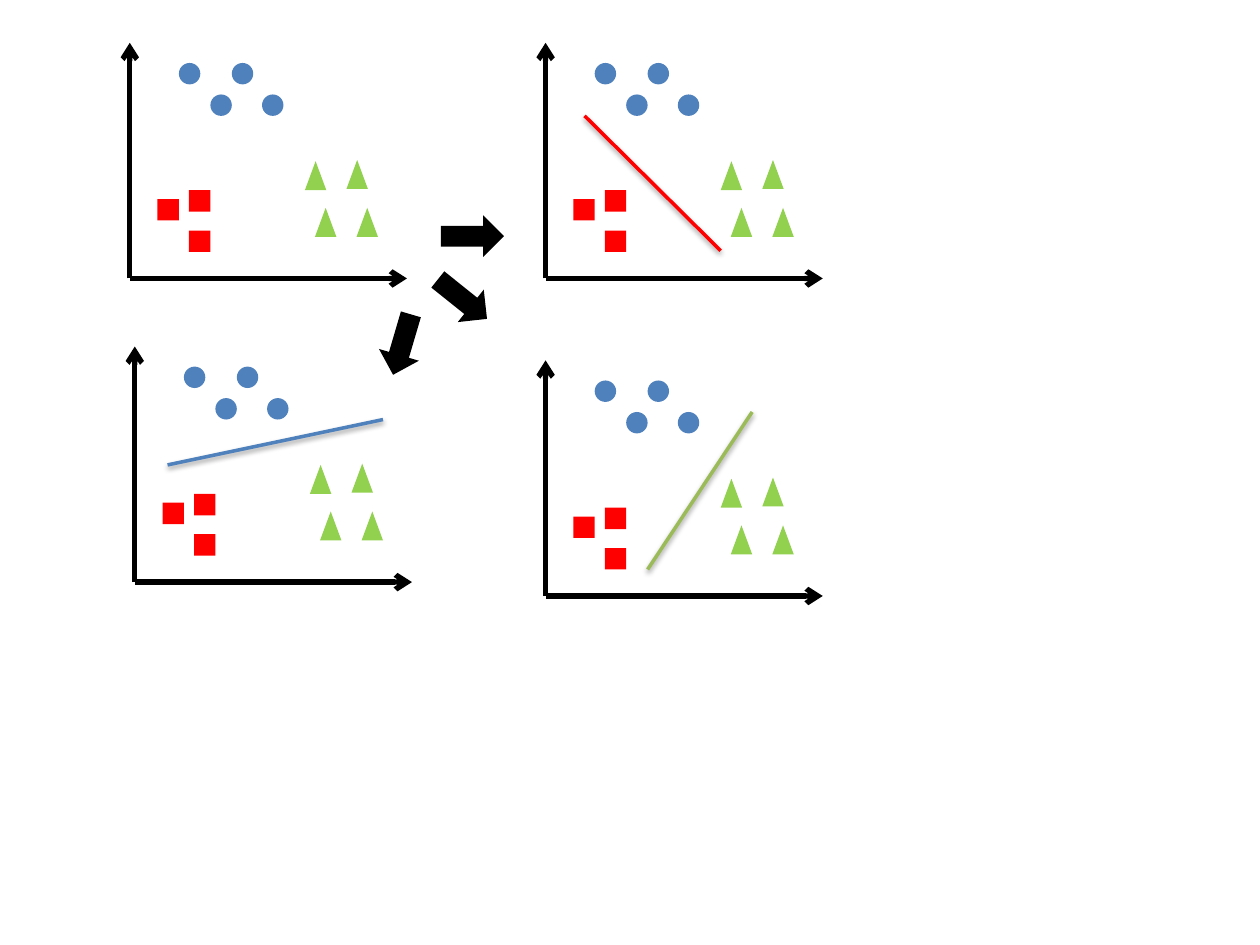
from typing import NamedTuple

from lxml import etree
from pptx import Presentation
from pptx import util as u
from pptx.dml.color import RGBColor
from pptx.enum import shapes
from pptx.oxml import ns

BLACK = RGBColor(0x00, 0x00, 0x00)
BLUE = RGBColor(0x4F, 0x81, 0xBD)
RED = RGBColor(0xFF, 0x00, 0x00)
LIME = RGBColor(0x92, 0xD0, 0x50)
OLIVE = RGBColor(0x9B, 0xBB, 0x59)
KIND = shapes.MSO_SHAPE

AXIS_UP, AXIS_RIGHT = 1.87, 2.2
MARKER_WIDTH = 0.17
ARROW_WIDTH, ARROW_HEIGHT = 0.5, 0.33


class Point(NamedTuple):
    """A place in inches."""
    x: float
    y: float


class Cluster(NamedTuple):
    """Markers of one class, placed relative to the axes' origin."""
    kind: KIND
    color: RGBColor
    height: float
    places: list[Point]


class Boundary(NamedTuple):
    """A line that separates one class from the rest."""
    start: Point
    end: Point
    color: RGBColor


class BlockArrow(NamedTuple):
    """A block arrow that leads to another plot."""
    corner: Point
    rotation: float


ORIGINS = [Point(1.03, 2.21), Point(4.33, 2.21),
           Point(1.07, 4.62), Point(4.33, 4.73)]

CLUSTERS = [
    Cluster(KIND.OVAL, BLUE, 0.17,
            [Point(0.39, -1.71), Point(0.81, -1.71),
             Point(0.64, -1.46), Point(1.05, -1.46)]),
    Cluster(KIND.RECTANGLE, RED, 0.17,
            [Point(0.22, -0.63), Point(0.47, -0.7), Point(0.47, -0.38)]),
    Cluster(KIND.ISOSCELES_TRIANGLE, LIME, 0.23,
            [Point(1.39, -0.93), Point(1.72, -0.94),
             Point(1.47, -0.56), Point(1.8, -0.56)]),
]

BOUNDARIES = [
    Boundary(Point(1.33, 3.69), Point(3.04, 3.33), BLUE),
    Boundary(Point(5.14, 4.52), Point(5.97, 3.27), OLIVE),
    Boundary(Point(4.64, 0.92), Point(5.72, 1.99), RED),
]

BLOCK_ARROWS = [
    BlockArrow(Point(3.5, 1.71), 0),
    BlockArrow(Point(3.42, 2.21), 38.7),
    BlockArrow(Point(2.94, 2.57), 106.4),
]


def add_line(group, start: Point, end: Point, color: RGBColor, width: float):
    """Draw a straight line; return it with its empty effect list."""
    line = group.shapes.add_connector(
        shapes.MSO_CONNECTOR.STRAIGHT, *map(u.Inches, (*start, *end)))
    line.line.color.rgb = color
    line.line.width = u.Pt(width)
    effects = etree.SubElement(line._element.spPr, ns.qn("a:effectLst"))
    return line, effects


def add_axis(group, start: Point, end: Point) -> None:
    """Draw a black axis with an arrowhead at its end."""
    axis, _ = add_line(group, start, end, BLACK, 3)
    outline = axis.line._get_or_add_ln()
    etree.SubElement(outline, ns.qn("a:tailEnd"), type="arrow")


def add_boundary(group, boundary: Boundary) -> None:
    """Draw a separating line with a soft shadow below it."""
    _, effects = add_line(group, *boundary, 2)
    shadow = etree.SubElement(
        effects, ns.qn("a:outerShdw"), blurRad="40000", dist="20000",
        dir="5400000", rotWithShape="0")
    tint = etree.SubElement(shadow, ns.qn("a:srgbClr"), val=str(BLACK))
    etree.SubElement(tint, ns.qn("a:alpha"), val="38000")


def add_solid(group, kind: KIND, corner: Point, width: float, height: float,
              color: RGBColor, rotation: float = 0) -> None:
    """Draw a filled preset shape without outline or shadow."""
    solid = group.shapes.add_shape(
        kind, *map(u.Inches, (*corner, width, height)))
    solid.fill.solid()
    solid.fill.fore_color.rgb = color
    solid.line.fill.background()
    solid.shadow.inherit = False
    solid.rotation = rotation


def add_plot(group, origin: Point) -> None:
    """Draw both axes and the three clusters of one plot."""
    add_axis(group, origin, Point(origin.x, origin.y - AXIS_UP))
    add_axis(group, origin, Point(origin.x + AXIS_RIGHT, origin.y))
    for cluster in CLUSTERS:
        for place in cluster.places:
            corner = Point(origin.x + place.x, origin.y + place.y)
            add_solid(group, cluster.kind, corner, MARKER_WIDTH,
                      cluster.height, cluster.color)


def main() -> None:
    """Build the one-versus-rest slide and save it."""
    deck = Presentation()
    deck.slide_width, deck.slide_height = u.Inches(10), u.Inches(7.5)
    page = deck.slides.add_slide(deck.slide_layouts[6])
    group = page.shapes.add_group_shape()
    for origin in ORIGINS:
        add_plot(group, origin)
    for boundary in BOUNDARIES:
        add_boundary(group, boundary)
    for arrow in BLOCK_ARROWS:
        add_solid(group, KIND.RIGHT_ARROW, arrow.corner, ARROW_WIDTH,
                  ARROW_HEIGHT, BLACK, arrow.rotation)
    deck.save("out.pptx")


main()
